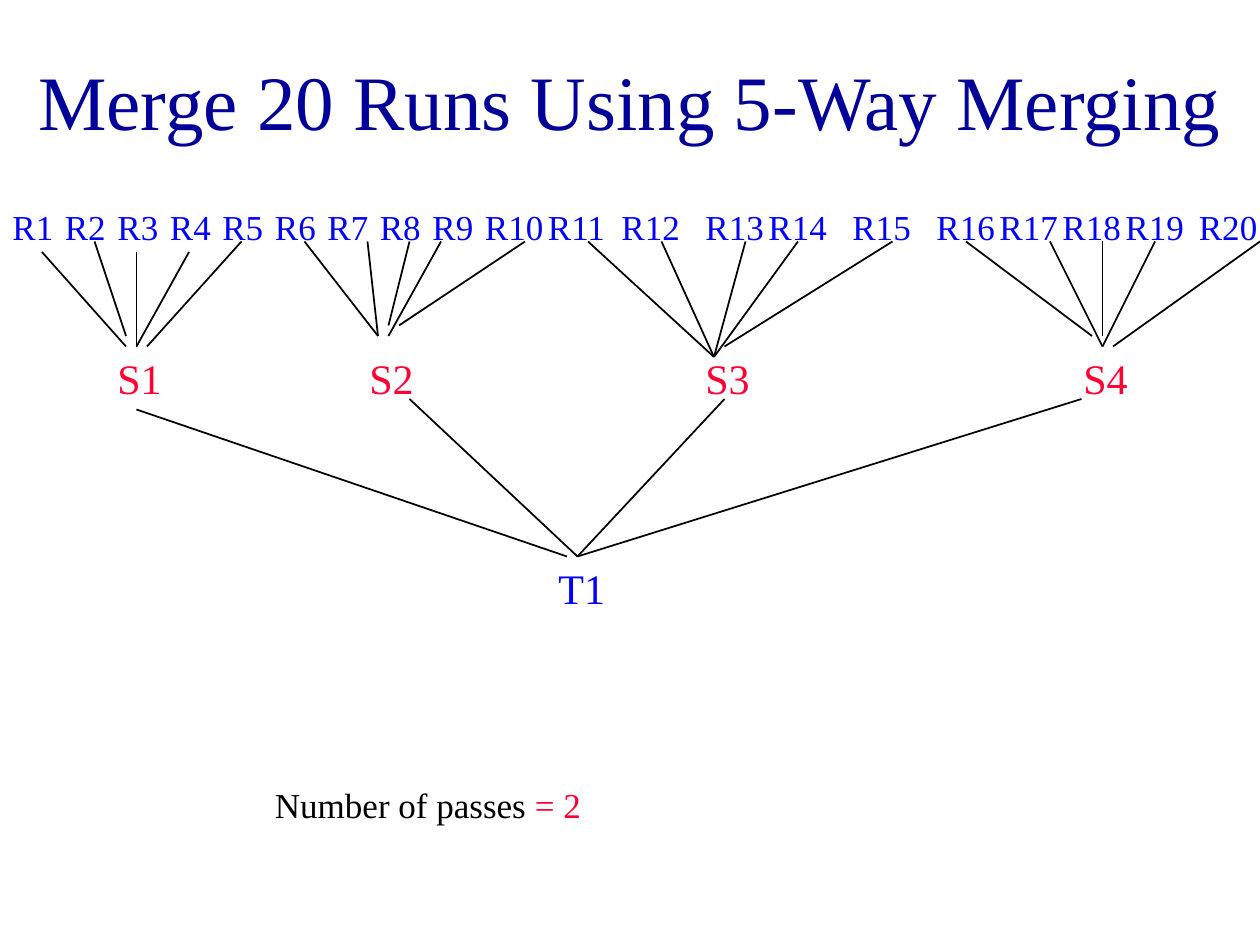
from dataclasses import dataclass
from pptx import Presentation
from pptx.dml.color import RGBColor
from pptx.enum.shapes import MSO_CONNECTOR
from pptx.enum.text import MSO_ANCHOR, MSO_AUTO_SIZE, PP_ALIGN
from pptx.oxml.ns import qn
from pptx.util import Inches, Pt
from lxml.etree import SubElement


@dataclass(frozen=True)
class Theme:
    font: str = "Times New Roman"
    navy: str = "000099"
    blue: str = "0000FF"
    red: str = "FF0033"
    black: str = "000000"
    head: int = 44
    node: int = 24
    text: int = 20
    line: int = 1


@dataclass(frozen=True)
class Box:
    x: float
    y: float
    w: float
    h: float


THEME = Theme()
GRID = 12

RUNS = [*range(0, 50, 5), 51, 58, 66, 72, 80, 88, 94, 100, 106, 113]
SUMS = [10, 34, 66, 102]
FANS = [
    (4, 1, 12, 10), (9, 0, 12, 9), (13, 1, 13, 10), (18, 1, 13, 10), (23, 0, 14, 10),
    (29, 0, 36, 9), (35, 0, 36, 9), (42, 0, 37, 9), (39, 0, 37, 8), (50, 0, 38, 8),
    (56, 0, 68, 11), (63, 0, 68, 11), (71, 0, 68, 11), (76, 0, 68, 11), (85, 0, 69, 10),
    (92, 0, 104, 9), (100, 0, 105, 10), (105, 0, 105, 9), (110, 0, 105, 10), (120, 0, 106, 10),
]
JOINS = [(13, 1, 54, 15), (103, 0, 55, 15), (39, 0, 55, 15), (69, 0, 55, 15)]


def unit(n):
    return Inches(n / GRID)


def place(box):
    return [unit(n) for n in (box.x, box.y, box.w, box.h)]


def write(para, text, size, color):
    run = para.add_run()
    run.text = text
    run.font.name = THEME.font
    run.font.size = Pt(size)
    run.font.color.rgb = RGBColor.from_string(color)


def label(shapes, box, parts, size):
    frame = shapes.add_textbox(*place(box)).text_frame
    frame.word_wrap = True
    frame.auto_size = MSO_AUTO_SIZE.SHAPE_TO_FIT_TEXT
    for text, color in parts:
        write(frame.paragraphs[0], text, size, color)


def title(slide, box, text):
    shape = slide.shapes.title
    shape.left, shape.top, shape.width, shape.height = place(box)
    frame = shape.text_frame
    frame.word_wrap = True
    frame.auto_size = MSO_AUTO_SIZE.NONE
    frame.vertical_anchor = MSO_ANCHOR.MIDDLE
    para = frame.paragraphs[0]
    para.alignment = PP_ALIGN.CENTER
    write(para, text, THEME.head, THEME.navy)


def row(slide, box, stem, lefts, width, size, color):
    shapes = slide.shapes.add_group_shape().shapes
    for num, left in enumerate(lefts, 1):
        spot = Box(box.x + left, box.y, width, box.h)
        label(shapes, spot, [(f"{stem}{num}", color)], size)


def links(slide, box, ends):
    shapes = slide.shapes.add_group_shape().shapes
    for x1, y1, x2, y2 in ends:
        line = shapes.add_connector(
            MSO_CONNECTOR.STRAIGHT,
            unit(box.x + x1), unit(box.y + y1), unit(box.x + x2), unit(box.y + y2))
        line.line.width = Pt(THEME.line)
        line.line.color.rgb = RGBColor.from_string(THEME.black)
        SubElement(line._element.spPr, qn("a:effectLst"))


def main():
    deck = Presentation()
    deck.slide_width, deck.slide_height = Inches(10), Inches(7.5)
    slide = deck.slides.add_slide(deck.slide_layouts[5])
    title(slide, Box(0, 2, 120, 15), "Merge 20 Runs Using 5-Way Merging")
    row(slide, Box(0, 19, 120, 5.2), "R", RUNS, 8, THEME.text, THEME.blue)
    label(slide.shapes, Box(52, 53, 9, 6), [("T1", THEME.blue)], THEME.node)
    row(slide, Box(0, 33, 120, 6), "S", SUMS, 8, THEME.node, THEME.red)
    links(slide, Box(0, 23, 120, 11), FANS)
    links(slide, Box(0, 38, 120, 15), JOINS)
    label(slide.shapes, Box(25, 74, 79, 7.5),
          [("Number of passes ", THEME.black), ("= 2", THEME.red)], THEME.text)
    deck.save("out.pptx")


if __name__ == "__main__":
    main()
